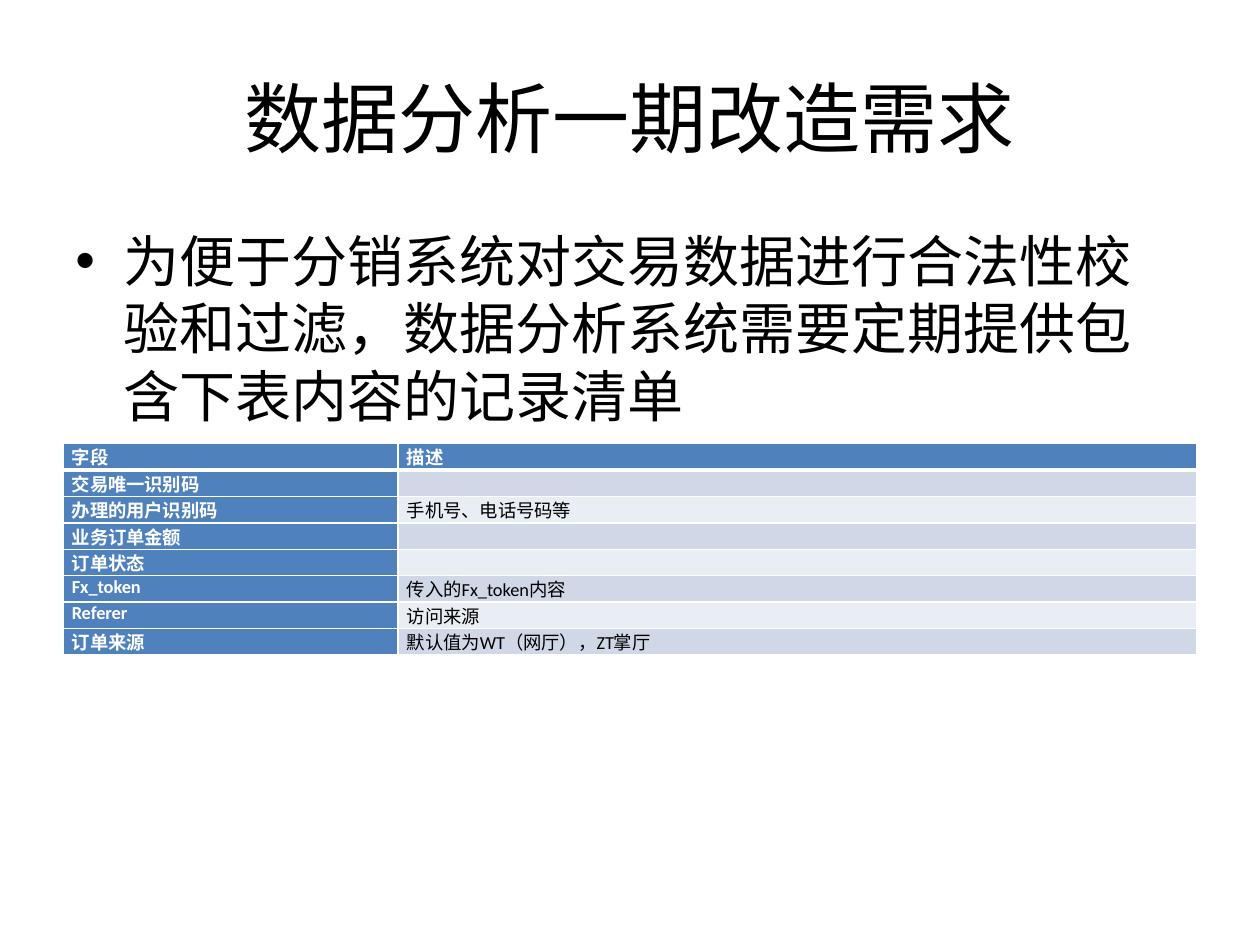
from dataclasses import dataclass

from lxml import etree
from pptx import Presentation
from pptx.dml.color import RGBColor
from pptx.enum.text import MSO_ANCHOR, PP_ALIGN
from pptx.oxml.ns import qn
from pptx.util import Inches, Pt

TOP, MIDDLE = MSO_ANCHOR.TOP, MSO_ANCHOR.MIDDLE
LEFT, CENTER, JUSTIFY = PP_ALIGN.LEFT, PP_ALIGN.CENTER, PP_ALIGN.JUSTIFY


@dataclass(frozen=True)
class Theme:
    """Colours, font and type sizes of the deck."""
    font: str = "Calibri"
    ink: str = "000000"
    white: str = "FFFFFF"
    head: str = "4F81BD"
    bands: tuple = ("D0D8E8", "E9EDF4")
    title: float = 44
    body: float = 32
    cell: float = 10.5


THEME = Theme()
ROWS = [
    ("字段", "描述"),
    ("交易唯一识别码", ""),
    ("办理的用户识别码", "手机号、电话号码等"),
    ("业务订单金额", ""),
    ("订单状态", ""),
    ("Fx_token", "传入的Fx_token内容"),
    ("Referer", "访问来源"),
    ("订单来源", "默认值为WT（网厅），ZT掌厅"),
]


def write(frame, text, size, color=THEME.ink, bold=False, align=LEFT):
    """Put text in the first paragraph of a frame and return the paragraph."""
    para = frame.paragraphs[0]
    para.alignment = align
    if text:
        run = para.add_run()
        run.text = text
        font = run.font
        font.name, font.size, font.bold = THEME.font, Pt(size), bold
        font.color.rgb = RGBColor.from_string(color)
    else:
        etree.SubElement(para._p, qn("a:endParaRPr"), sz=str(int(size * 100)))
    return para


def add_box(slide, box, anchor):
    """Add a wrapping text box and return its frame."""
    frame = slide.shapes.add_textbox(*map(Inches, box)).text_frame
    frame.word_wrap = True
    frame.vertical_anchor = anchor
    return frame


def add_title(slide, box, text):
    """Add the centred title."""
    write(add_box(slide, box, MIDDLE), text, THEME.title, align=CENTER)


def add_body(slide, box, text):
    """Add the bulleted statement with a hanging indent."""
    para = write(add_box(slide, box, TOP), text, THEME.body)
    para.space_before = Pt(THEME.body * 0.2)
    props = para._p.get_or_add_pPr()
    indent = Inches(0.38)
    props.set("marL", str(indent))
    props.set("indent", str(-indent))
    etree.SubElement(props, qn("a:buFont"), typeface="Arial")
    etree.SubElement(props, qn("a:buChar"), char="•")


def set_edges(cell, base):
    """Draw white cell borders, with the given width at the base."""
    props = cell._tc.get_or_add_tcPr()
    for side, width in (("L", 1), ("R", 1), ("T", 1), ("B", base)):
        line = etree.SubElement(props, qn(f"a:ln{side}"), w=str(Pt(width)))
        fill = etree.SubElement(line, qn("a:solidFill"))
        etree.SubElement(fill, qn("a:srgbClr"), val=THEME.white)


def add_grid(slide, box, rows, widths):
    """Add the field table with a dark first row and first column."""
    table = slide.shapes.add_table(
        len(rows), len(widths), *map(Inches, box)).table
    table.horz_banding = False
    for col, width in zip(table.columns, widths):
        col.width = Inches(width)
    for i, texts in enumerate(rows):
        table.rows[i].height = Inches(box[3] / len(rows))
        for j, text in enumerate(texts):
            cell = table.cell(i, j)
            head = i == 0 or j == 0
            cell.margin_left = cell.margin_right = Inches(0.07)
            cell.margin_top = cell.margin_bottom = 0
            set_edges(cell, 1 if i else 3)
            cell.fill.solid()
            cell.fill.fore_color.rgb = RGBColor.from_string(
                THEME.head if head else THEME.bands[(i - 1) % 2])
            write(cell.text_frame, text, THEME.cell, bold=head, align=JUSTIFY,
                  color=THEME.white if head else THEME.ink)


def main():
    """Build and save the slide."""
    deck = Presentation()
    deck.slide_width, deck.slide_height = Inches(10), Inches(7.5)
    slide = deck.slides.add_slide(deck.slide_layouts[6])
    add_title(slide, (0.5, 0.3, 9, 1.25), "数据分析一期改造需求")
    add_body(slide, (0.5, 1.75, 9, 4.95),
             "为便于分销系统对交易数据进行合法性校验和过滤，"
             "数据分析系统需要定期提供包含下表内容的记录清单")
    add_grid(slide, (0.5, 3.52, 9, 1.68), ROWS, (2.66, 6.34))
    deck.save("out.pptx")


if __name__ == "__main__":
    main()
